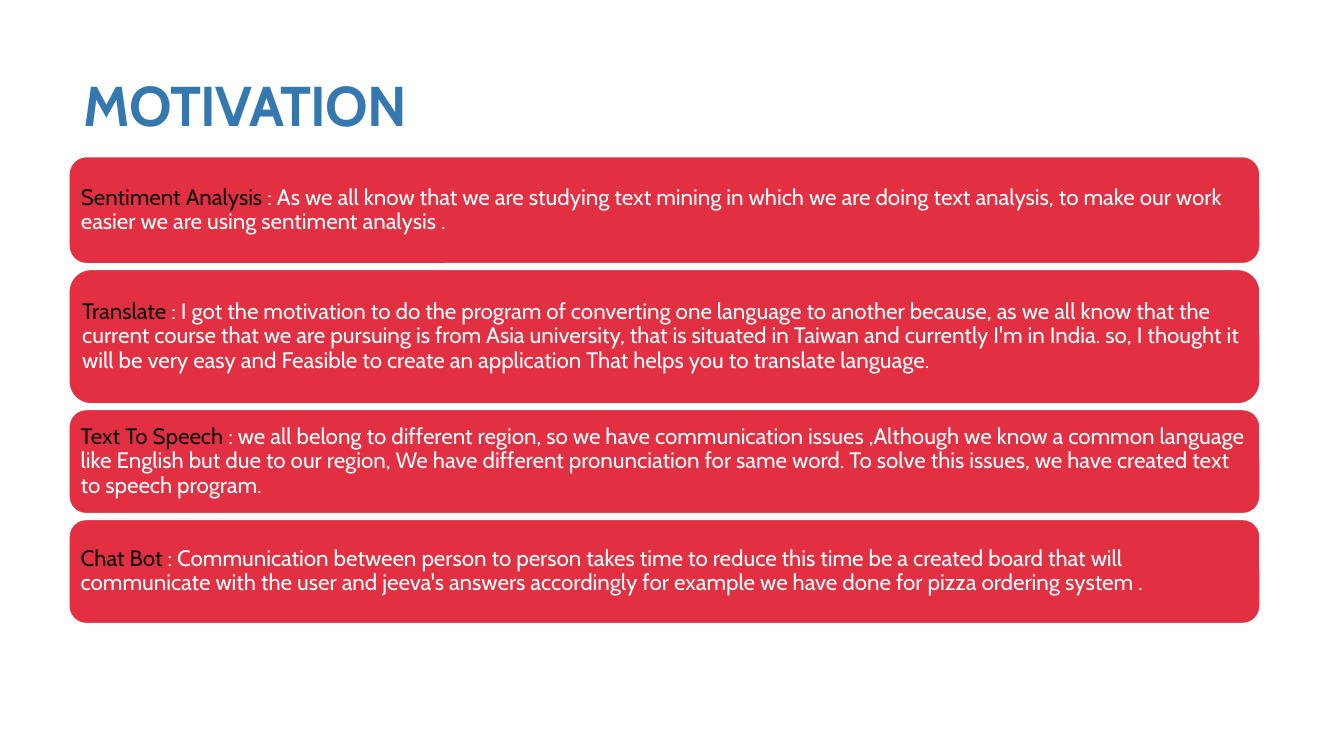
import pptx
import pptx.util
import pptx.dml.color
import pptx.enum.shapes
import pptx.enum.text

Inches, Pt = pptx.util.Inches, pptx.util.Pt
FONT = "Cabin"


def rgb(hex_code):
    return pptx.dml.color.RGBColor.from_string(hex_code)


def set_margins(frame, side, vertical):
    frame.margin_left = frame.margin_right = Inches(side)
    frame.margin_top = frame.margin_bottom = Inches(vertical)
    frame.word_wrap = True


presentation = pptx.Presentation()
presentation.slide_width = Inches(13.33)
presentation.slide_height = Inches(7.5)
slide = presentation.slides.add_slide(presentation.slide_layouts[6])

# Heading
heading = slide.shapes.add_textbox(Inches(0.83), Inches(0.78), Inches(11.58), Inches(0.71))
set_margins(heading.text_frame, 0, 0)
heading_line = heading.text_frame.paragraphs[0]
heading_line.line_spacing = 0.9
heading_run = heading_line.add_run()
heading_run.text = "MOTIVATION"
heading_line.font.name = FONT
heading_line.font.size = Pt(40)
heading_line.font.bold = True
heading_line.font.color.rgb = rgb("3578AF")
heading_run.font._element.set("spc", "-50")

# One card per project: height, name, reason
projects = [
    (1.07, "Sentiment Analysis ",
     ": As we all know that we are studying text mining in which we are doing text "
     "analysis, to make our work easier we are using sentiment analysis ."),
    (1.34, "Translate",
     " : I got the motivation to do the program of converting one language to another "
     "because, as we all know that the current course that we are pursuing is from Asia "
     "university, that is situated in Taiwan and currently I'm in India. so, I thought it "
     "will be very easy and Feasible to create an application That helps you to translate "
     "language."),
    (1.04, "Text To Speech ",
     ": we all belong to different region, so we have communication issues ,Although we "
     "know a common language like English but due to our region, We have different "
     "pronunciation for same word. To solve this issues, we have created text to speech "
     "program."),
    (1.04, "Chat Bot ",
     ": Communication between person to person takes time to reduce this time be a created "
     "board that will communicate with the user and jeeva's answers accordingly for example "
     "we have done for pizza ordering system ."),
]
card_top = 1.55
card_gap = 0.05

for card_height, project, reason in projects:
    card = slide.shapes.add_shape(
        pptx.enum.shapes.MSO_SHAPE.ROUNDED_RECTANGLE,
        Inches(0.68), Inches(card_top), Inches(11.82), Inches(card_height))
    card.shadow.inherit = False
    card.fill.solid()
    card.fill.fore_color.rgb = rgb("E23042")
    card.line.color.rgb = rgb("FFFFFF")
    card.line.width = Pt(1.5)

    # The rounded corner already insets the text by 0.29 of its radius
    corner_inset = 0.29 * card_height / 6
    set_margins(card.text_frame, 0.12 - 0.05, 0.07)
    card.text_frame.vertical_anchor = pptx.enum.text.MSO_ANCHOR.MIDDLE
    statement = card.text_frame.paragraphs[0]
    statement.alignment = pptx.enum.text.PP_ALIGN.LEFT
    statement.line_spacing = 0.9
    for words, colour in ((project, "0D0D0D"), (reason, "FFFFFF")):
        run = statement.add_run()
        run.text = words
        run.font.color.rgb = rgb(colour)
    statement.font.name = FONT
    statement.font.size = Pt(16)
    card_top += card_height + card_gap

presentation.save("out.pptx")
